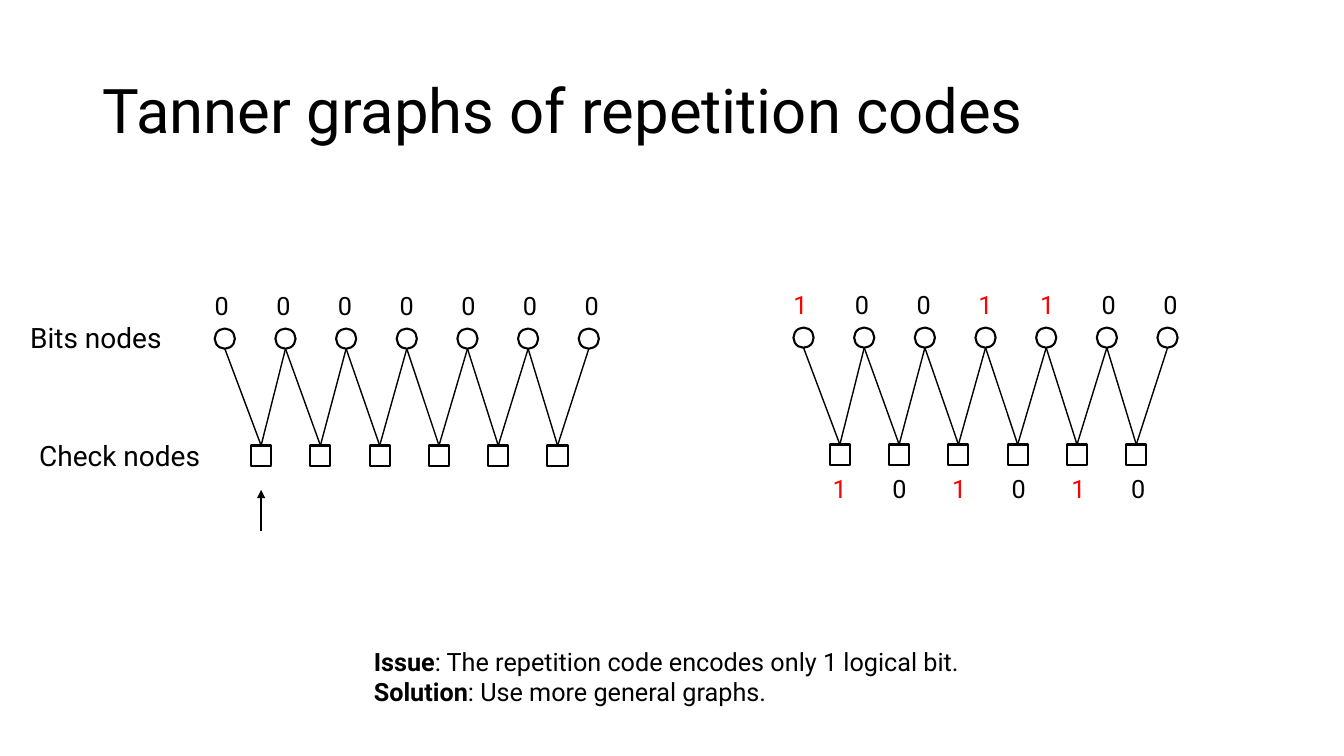
from dataclasses import dataclass

import pptx
import pptx.util
from lxml import etree
from pptx.dml.color import RGBColor
from pptx.enum.shapes import MSO_CONNECTOR, MSO_SHAPE
from pptx.enum.text import MSO_ANCHOR, MSO_AUTO_SIZE, PP_ALIGN
from pptx.oxml.ns import qn

Inches = pptx.util.Inches
Pt = pptx.util.Pt


@dataclass(frozen=True)
class Theme:
    font: str = "Roboto"
    ink: RGBColor = RGBColor(0, 0, 0)
    paper: RGBColor = RGBColor(255, 255, 255)
    flipped: RGBColor = RGBColor(255, 0, 0)
    title_size: int = 44
    label_size: int = 20
    body_size: int = 18
    outline: float = 1.5
    edge: float = 1


theme = Theme()


def write(box, *lines, size=theme.body_size, color=theme.ink, wrap=True,
          anchor=MSO_ANCHOR.TOP, spacing=None):
    """Fill a box; each line is a list of (text, bold) pairs."""
    frame = box.text_frame
    frame.word_wrap = wrap
    frame.auto_size = MSO_AUTO_SIZE.NONE
    frame.vertical_anchor = anchor
    for number, line in enumerate(lines):
        para = frame.add_paragraph() if number else frame.paragraphs[0]
        para.alignment = PP_ALIGN.LEFT
        if spacing:
            para.line_spacing = spacing
        for text, bold in line:
            span = para.add_run()
            span.text = text
            span.font.name = theme.font
            span.font.size = Pt(size)
            span.font.bold = bold
            span.font.color.rgb = color


def draw_line(shapes, start, end, width):
    line = shapes.add_connector(
        MSO_CONNECTOR.STRAIGHT, *(Inches(value) for value in start + end))
    line.line.color.rgb = theme.ink
    line.line.width = Pt(width)
    etree.SubElement(line._element.spPr, qn("a:effectLst"))
    return line


deck = pptx.Presentation()
deck.slide_width = Inches(13.33)
deck.slide_height = Inches(7.5)
page = deck.slides.add_slide(deck.slide_layouts[5])

# Title
title = page.shapes.title
title.left, title.top = Inches(0.92), Inches(0.4)
title.width, title.height = Inches(11.5), Inches(1.45)
write(title, [("Tanner graphs of repetition codes", False)],
      size=theme.title_size, anchor=MSO_ANCHOR.MIDDLE, spacing=0.9)

# Tanner graphs: left edge, top of the bit values, bit values, check values
node = 0.2
bit_step, check_step = 3.61 / 6, 2.94 / 5
bit_value_step, check_value_step = 3.67 / 6, 2.96 / 5
graphs = [
    (2.13, 2.83, "0000000", ""),
    (7.87, 2.82, "1001100", "101010"),
]
for left, top, bits, checks in graphs:
    shapes = page.shapes.add_group_shape().shapes
    bit_top, check_top = top + 0.43, top + 1.59
    check_left = left + 0.36

    # Nodes
    rows = [
        (MSO_SHAPE.OVAL, left, bit_top, bit_step, len(bits)),
        (MSO_SHAPE.RECTANGLE, check_left, check_top, check_step, len(bits) - 1),
    ]
    for kind, row_left, row_top, step, count in rows:
        nodes = []
        for index in range(count):
            shape = shapes.add_shape(
                kind, Inches(row_left + index * step), Inches(row_top),
                Inches(node), Inches(node))
            shape.shadow.inherit = False
            shape.fill.solid()
            shape.fill.fore_color.rgb = theme.paper
            shape.line.color.rgb = theme.ink
            shape.line.width = Pt(theme.outline)
            nodes.append(shape)

    # Each check joins the two neighbouring bits
    for index, check in enumerate(nodes):
        check_x = check_left + index * check_step + node / 2
        for bit in (index, index + 1):
            bit_x = left + bit * bit_step + node / 2
            edge = draw_line(shapes, (check_x, check_top),
                             (bit_x, bit_top + node), theme.edge)
            edge.begin_connect(check, 0)

    # Values above the bits and below the checks
    values = [
        (bits, left - 0.1, top, bit_value_step),
        (checks, left + 0.29, top + 1.83, check_value_step),
    ]
    for digits, row_left, row_top, step in values:
        for index, digit in enumerate(digits):
            box = shapes.add_textbox(
                Inches(row_left + index * step), Inches(row_top),
                Inches(0.32), Inches(0.4))
            write(box, [(digit, False)],
                  color=theme.flipped if digit == "1" else theme.ink)

# Row labels
for text, left, top, width in [("Bits nodes", 0.2, 3.13, 1.61),
                               ("Check nodes", 0.29, 4.3, 1.86)]:
    box = page.shapes.add_textbox(
        Inches(left), Inches(top), Inches(width), Inches(0.44))
    write(box, [(text, False)], size=theme.label_size)

# Conclusion
box = page.shapes.add_textbox(
    Inches(3.61), Inches(6.36), Inches(6.03), Inches(0.71))
write(box,
      [("Issue", True),
       (": The repetition code encodes only 1 logical bit.", False)],
      [("Solution", True), (": Use more general graphs.", False)],
      wrap=False)

# Arrow to the first check
arrow = draw_line(page.shapes, (2.59, 5.27), (2.59, 4.86), theme.outline)
etree.SubElement(arrow.line._get_or_add_ln(), qn("a:tailEnd"), type="triangle")

deck.save("out.pptx")
